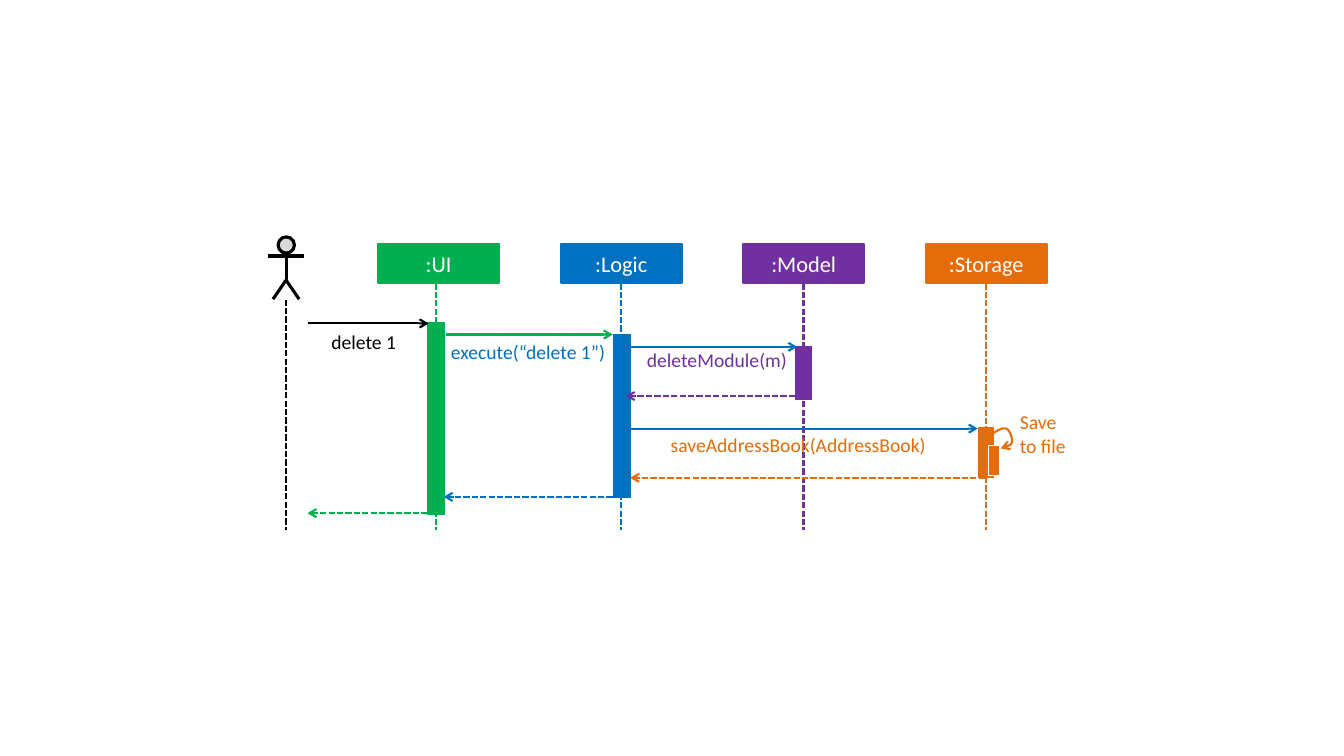
"""Build a sequence diagram of a delete command passing through four components."""
from lxml.etree import SubElement
from pptx import Presentation
from pptx.dml.color import RGBColor as RGB
from pptx.enum.dml import MSO_LINE as Dash
from pptx.enum.shapes import MSO_CONNECTOR as Link, MSO_SHAPE as Kind
from pptx.enum.text import MSO_ANCHOR as Anchor, PP_ALIGN as Align
from pptx.oxml.ns import qn
from pptx.util import Cm, Pt

HUES = {
    "black": "000000", "white": "FFFFFF", "grey": "D9D9D9", "ui": "00B050",
    "logic": "0070C0", "model": "7030A0", "store": "E46C0A",
}
FONT = "Calibri"
DEPTH = 7.41


def tint(hue):
    """Return the named colour."""
    return RGB.from_string(HUES[hue])


def stroke(shape, hue, width, dash=False, arrow=False):
    """Style an outline, with an optional dash and an arrowhead at its end."""
    line = shape.line
    line.color.rgb = tint(hue)
    line.width = Pt(width)
    if dash:
        line.dash_style = Dash.SQUARE_DOT
    if arrow:
        SubElement(shape._element.spPr.find(qn("a:ln")), qn("a:tailEnd"), type="arrow")


def link(shapes, x1, y1, x2, y2, hue, width=1.5, dash=False, arrow=False):
    """Draw a straight line between two points."""
    line = shapes.add_connector(Link.STRAIGHT, Cm(x1), Cm(y1), Cm(x2), Cm(y2))
    stroke(line, hue, width, dash, arrow)
    SubElement(line._element.spPr, qn("a:effectLst"))


def block(shapes, x, y, w, h, fill, edge, width=0.75, kind=Kind.RECTANGLE):
    """Draw a filled preset shape."""
    shape = shapes.add_shape(kind, Cm(x), Cm(y), Cm(w), Cm(h))
    shape.shadow.inherit = False
    shape.fill.solid()
    shape.fill.fore_color.rgb = tint(fill)
    stroke(shape, edge, width)
    return shape


def trace(shapes, x, y, points, hue, width, arrow=False):
    """Draw an open outline through points relative to a corner."""
    spots = [(Cm(x + px), Cm(y + py)) for px, py in points]
    pen = shapes.build_freeform(*spots[0])
    pen.add_line_segments(spots[1:], close=False)
    shape = pen.convert_to_shape()
    shape.shadow.inherit = False
    shape.fill.background()
    stroke(shape, hue, width, arrow=arrow)


def write(frame, text, size, hue, align):
    """Set one paragraph of text."""
    para = frame.paragraphs[0]
    para.text = text
    para.alignment = align
    para.font.name = FONT
    para.font.size = Pt(size)
    para.font.color.rgb = tint(hue)


def label(shapes, x, y, w, h, text, hue, align=Align.CENTER):
    """Place a caption without margins."""
    frame = shapes.add_textbox(Cm(x), Cm(y), Cm(w), Cm(h)).text_frame
    frame.word_wrap = True
    frame.margin_left = frame.margin_right = 0
    frame.margin_top = frame.margin_bottom = 0
    write(frame, text, 14, hue, align)


def curve(start, *parts, steps=10):
    """Return points along a chain of cubic curves."""
    points = [start]
    for one, two, end in parts:
        for step in range(1, steps + 1):
            t = step / steps
            u = 1 - t
            points.append(tuple(
                u**3 * a + 3 * u * u * t * b + 3 * u * t * t * c + t**3 * d
                for a, b, c, d in zip(start, one, two, end)))
        start = end
    return points


def actor(shapes, x, y):
    """Draw the stick figure and its lifeline."""
    mid = x + 0.46
    block(shapes, x + 0.26, y + 0.02, 0.41, 0.41, "grey", "black", 2.25,
          Kind.FLOWCHART_CONNECTOR)
    link(shapes, mid, y + 0.42, mid, y + 1.11, "black", 2.25)
    trace(shapes, x, y, [(0.13, 1.59), (0.46, 1.11), (0.79, 1.59)], "black", 2.25)
    link(shapes, x, y + 0.5, x + 0.92, y + 0.5, "black", 2.25)
    link(shapes, mid, y + 1.6, mid, y + DEPTH, "black", dash=True)


def lane(shapes, x, y, name, hue, mid, bar):
    """Draw a component head, its lifeline and its activation bar."""
    head = block(shapes, x, y, 3.05, 0.97, hue, hue, 1.5)
    head.text_frame.vertical_anchor = Anchor.MIDDLE
    write(head.text_frame, name, 16, "white", Align.CENTER)
    link(shapes, x + mid, y + 0.99, x + mid, y + DEPTH - 0.2, hue, dash=True)
    left, top, w, h = bar
    block(shapes, x + left, y + top, w, h, hue, hue)


def talk(shapes, x, y):
    """Draw the calls, returns and captions between lifelines."""
    calls = [
        (1, 4.05, 2.2, "black"), (4.48, 8.69, 2.48, "ui"),
        (9.1, 13.34, 2.79, "logic"), (9.15, 17.89, 4.85, "logic"),
    ]
    backs = [
        (13.29, 9.02, 4.03, "model"), (18.07, 9.13, 6.09, "store"),
        (8.69, 4.43, 6.57, "logic"), (4.02, 1, 6.98, "ui"),
    ]
    for rows, dash in ((calls, False), (backs, True)):
        for start, end, top, hue in rows:
            link(shapes, x + start, y + top, x + end, y + top, hue,
                 dash=dash, arrow=True)
    notes = [
        (2.42, 2.36, 2.4, "delete 1", "black"),
        (6.56, 2.61, 4.1, "execute(“delete 1”)", "logic"),
        (11.32, 2.81, 3.8, "deleteModule(m)", "model"),
        (13.37, 4.95, 7, "saveAddressBook(AddressBook)", "store"),
    ]
    for mid, top, w, text, hue in notes:
        label(shapes, x + mid - w / 2, y + top, w, 0.6, text, hue)


def loop(shapes, x, y):
    """Draw the self call that writes to file."""
    points = curve(
        (0.09, 0.65),
        ((0.22, 0.55), (0.37, 0.47), (0.45, 0.5)),
        ((0.55, 0.52), (0.63, 0.77), (0.6, 0.85)),
        ((0.58, 0.93), (0.45, 0.98), (0.32, 1)))
    trace(shapes, x, y, points, "store", 1.5, arrow=True)
    block(shapes, x + 0.02, y + 0.93, 0.28, 0.76, "store", "white")
    label(shapes, x + 0.8, y + 0.04, 1.5, 1.2, "Save\vto file", "store", Align.LEFT)


def chart(slide, x, y):
    """Compose the whole sequence diagram."""
    shapes = slide.shapes
    actor(shapes, x, y)
    lanes = [
        (":UI", "ui", 1.45, (1.24, 1.98, 0.43, 4.83)),
        (":Logic", "logic", 1.52, (1.32, 2.28, 0.43, 4.11)),
        (":Model", "model", 1.52, (1.32, 2.59, 0.41, 1.32)),
        (":Storage", "store", 1.52, (1.34, 4.62, 0.36, 1.27)),
    ]
    for i, row in enumerate(lanes):
        lane(shapes, x + 2.78 + 4.6 * i, y + 0.2, *row)
    talk(shapes, x, y)
    loop(shapes, x + 18.15, y + 4.35)


deck = Presentation()
deck.slide_width, deck.slide_height = Cm(33.87), Cm(19.05)
chart(deck.slides.add_slide(deck.slide_layouts[6]), 6.75, 5.95)
deck.save("out.pptx")
